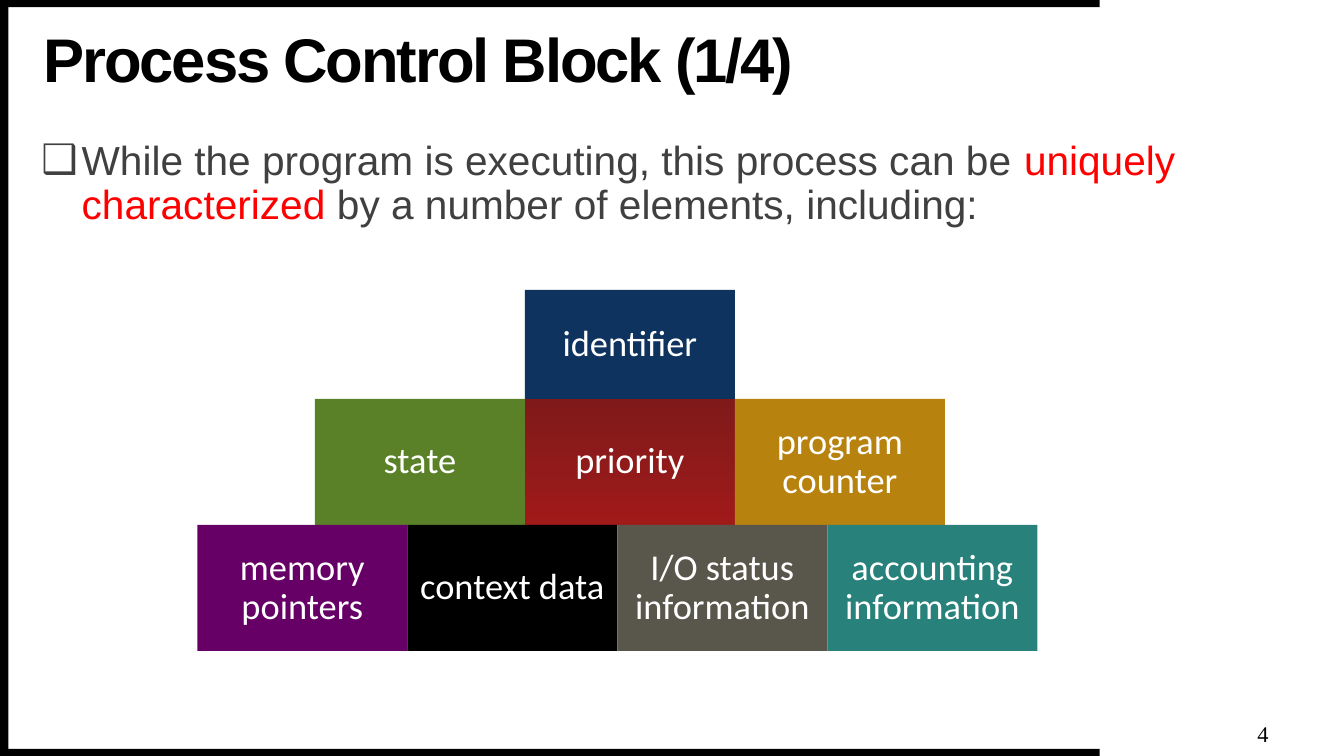
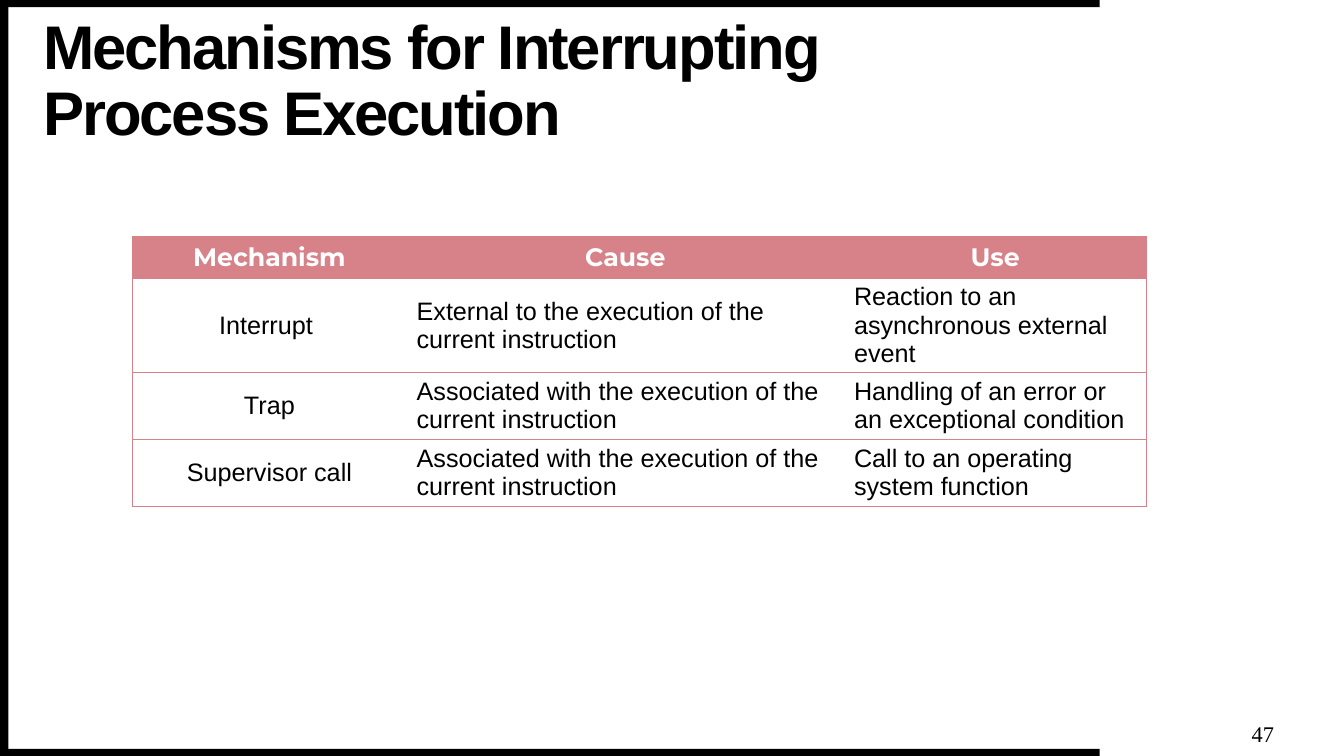
from lxml import etree
from pptx import Presentation
from pptx.dml.color import RGBColor
from pptx.enum import shapes, text
from pptx.oxml import parse_xml
from pptx.oxml.ns import nsdecls, qn
from pptx.util import Inches, Pt

COLORS = {
    "black": "000000", "white": "FFFFFF", "body": "404040", "accent": "FF0000",
    "rose": "D78189", "navy": "0D335E", "green": "5A8128", "gold": "B7820D",
    "purple": "660066", "gray": "59564B", "teal": "28817A",
    "red_top": "801A1A", "red_bottom": "A01A1A",
}
COLUMNS, ROWS = 64, 36
MIDDLE = text.MSO_ANCHOR.MIDDLE
LEFT, CENTER = text.PP_ALIGN.LEFT, text.PP_ALIGN.CENTER


def color(name):
    return RGBColor.from_string(COLORS[name])


class Deck:
    """Holds the shared style and the current slide; places use grid units."""

    def __init__(self):
        self.file = Presentation()
        self.file.slide_width = Inches(13.333)
        self.file.slide_height = Inches(7.5)
        self.page = None

    def across(self, columns):
        return round(self.file.slide_width * columns / COLUMNS)

    def down(self, rows):
        return round(self.file.slide_height * rows / ROWS)

    def area(self, left, top, width, height):
        return self.across(left), self.down(top), self.across(width), self.down(height)

    # Text
    def span(self, para, words, size, tint, font="Arial", bold=False):
        run = para.add_run()
        run.text = words
        run.font.size, run.font.name, run.font.bold = Pt(size), font, bold
        run.font.color.rgb = color(tint)
        return run

    def frame(self, box, inset=0.0, anchor=MIDDLE, align=LEFT, spacing=None):
        """Format a text frame and return its first paragraph."""
        frame = box.text_frame
        frame.word_wrap, frame.auto_size = True, text.MSO_AUTO_SIZE.NONE
        frame.margin_left = frame.margin_right = Inches(inset)
        frame.margin_top = frame.margin_bottom = Inches(inset)
        frame.vertical_anchor = anchor
        para = frame.paragraphs[0]
        para.alignment, para.line_spacing = align, spacing
        return para

    def place(self, box, *area):
        box.left, box.top, box.width, box.height = self.area(*area)

    # Slide with bands, title and number
    def add_page(self, layout, title, number, title_rows):
        self.page = self.file.slides.add_slide(self.file.slide_layouts[layout])
        for band in ((0, 35.66, 52.37, 0.34), (0, 0, 52.37, 0.34), (0, 0, 0.4, 36)):
            self.block(band, "black")
        box = self.page.shapes.title
        self.place(box, 2.06, 1.2, 48.3, title_rows)
        run = self.span(self.frame(box, spacing=0.9), title, 44, "black", bold=True)
        run.font._element.set("spc", "-150")
        box = self.page.shapes.add_textbox(*self.area(59.42, 34.2, 1.44, 1.44))
        self.span(self.frame(box, align=CENTER), number, 16, "black", "Times New Roman")

    def block(self, area, *tints):
        """Rectangle with one tint, or a gradient from top to bottom with two."""
        box = self.page.shapes.add_shape(shapes.MSO_SHAPE.RECTANGLE, *self.area(*area))
        box.shadow.inherit = False
        box.line.fill.background()
        if len(tints) == 1:
            box.fill.solid()
            box.fill.fore_color.rgb = color(tints[0])
        else:
            box.fill.gradient()
            box.fill.gradient_angle = 270
            for stop, tint in zip(box.fill.gradient_stops, tints):
                stop.color.rgb = color(tint)
        return box

    def label(self, area, words, *tints):
        para = self.frame(self.block(area, *tints), 0.11, align=CENTER, spacing=0.9)
        self.span(para, words, 26, "white", "Calibri")

    def bullet(self, area, spans):
        box = self.page.placeholders[1]
        self.place(box, *area)
        para = self.frame(box, anchor=text.MSO_ANCHOR.TOP, spacing=0.9)
        para.space_before = Pt(10)
        props = para._p.get_or_add_pPr()
        props.set("marL", str(Inches(0.4)))
        props.set("indent", str(-Inches(0.4)))
        etree.SubElement(props, qn("a:buChar")).set("char", "❑")
        for words, tint in spans:
            self.span(para, words, 29, tint)

    # Table
    def border(self, cell, side, visible):
        fill = (f'<a:solidFill><a:srgbClr val="{COLORS["rose"]}"/></a:solidFill>'
                if visible else "<a:noFill/>")
        cell._tc.get_or_add_tcPr().append(parse_xml(
            f'<a:ln{side} {nsdecls("a")} w="6350">{fill}</a:ln{side}>'))

    def table(self, left, top, widths, row_height, rows):
        area = self.area(left, top, sum(widths), row_height * len(rows))
        table = self.page.shapes.add_table(len(rows), len(widths), *area).table
        table.horz_banding = table.first_row = False
        for column, width in zip(table.columns, widths):
            column.width = self.across(width)
        for r, row in enumerate(rows):
            for c, words in enumerate(row):
                cell, header = table.cell(r, c), r == 0
                edges = {"L": c == 0, "R": c == len(widths) - 1, "T": True, "B": True}
                for side, visible in edges.items():
                    self.border(cell, side, visible)
                if header:
                    cell.fill.solid()
                    cell.fill.fore_color.rgb = color("rose")
                else:
                    cell.fill.background()
                cell.vertical_anchor = MIDDLE
                para = cell.text_frame.paragraphs[0]
                para.alignment = CENTER if header or c == 0 else LEFT
                self.span(para, words, 18, "white" if header else "black",
                          "Montserrat" if header else "Arial", header)


def main():
    deck = Deck()

    # Process control block: bullet and pyramid of elements
    deck.add_page(1, "Process Control Block (1/4)", "4", 3.55)
    deck.bullet((1.97, 6.67, 56.16, 4.66), [
        ("While the program is executing, this process can be ", "body"),
        ("uniquely characterized", "accent"),
        (" by a number of elements, including:", "body")])
    step = 10
    pyramid = [
        (25, 13.8, 5.2, [("identifier", "navy")]),
        (15, 19, 6, [("state", "green"), ("priority", "red_top", "red_bottom"),
                     ("program counter", "gold")]),
        (9.4, 25, 6, [("memory pointers", "purple"), ("context data", "black"),
                      ("I/O status information", "gray"),
                      ("accounting information", "teal")]),
    ]
    for left, top, height, elements in pyramid:
        for i, (words, *tints) in enumerate(elements):
            deck.label((left + i * step, top, step, height), words, *tints)

    # Interrupt mechanisms: table
    deck.add_page(5, "Mechanisms for Interrupting Process Execution", "47", 5.47)
    associated = "Associated with the execution of the current instruction"
    deck.table(6.3, 11.27, (13.06, 20.83, 14.4), 1.97, [
        ("Mechanism", "Cause", "Use"),
        ("Interrupt ", "External to the execution of the current instruction",
         "Reaction to an asynchronous external event"),
        ("Trap", associated, "Handling of an error or an exceptional condition"),
        ("Supervisor call", associated, "Call to an operating system function"),
    ])

    deck.file.save("out.pptx")


if __name__ == "__main__":
    main()
